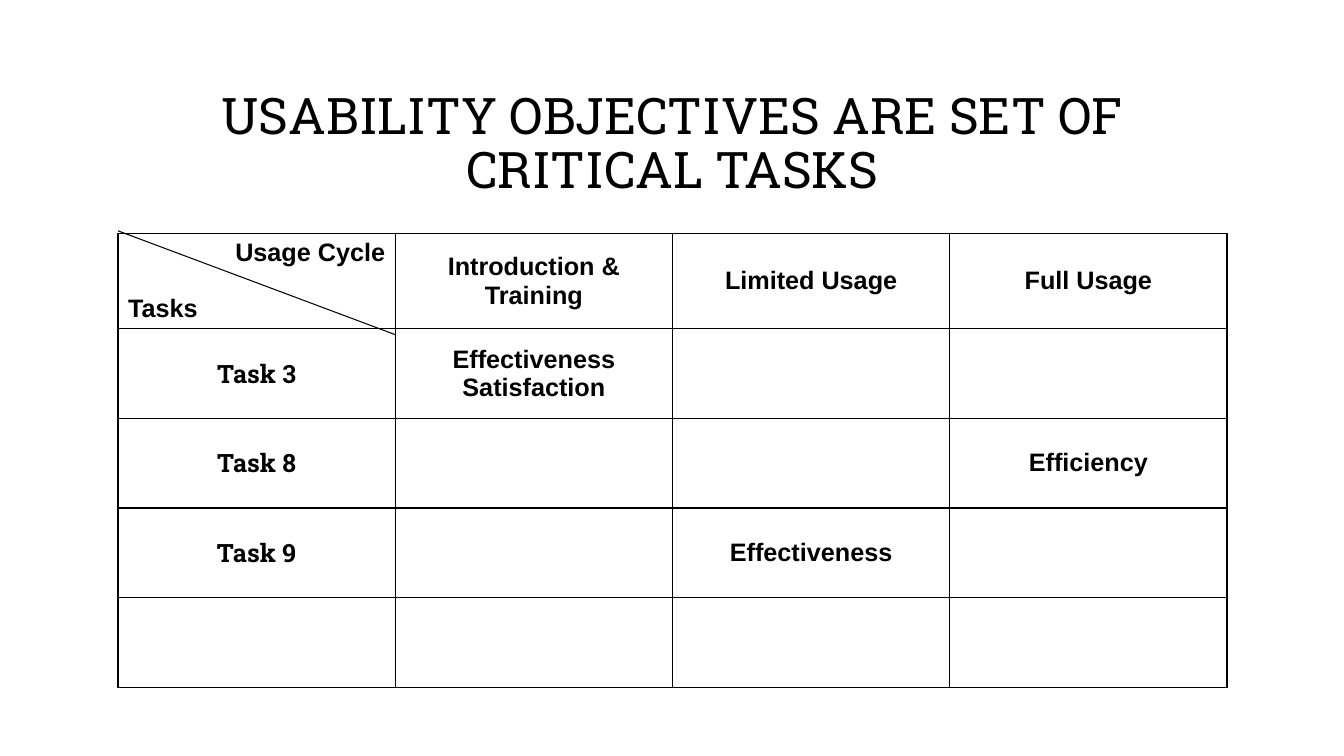
"""Build the usability objectives slide."""
import lxml.etree
import pptx
import pptx.dml.color
import pptx.enum.shapes
import pptx.enum.text
import pptx.oxml.ns
import pptx.util

Inches = pptx.util.Inches
Pt = pptx.util.Pt
qn = pptx.oxml.ns.qn
ALIGN = pptx.enum.text.PP_ALIGN
ANCHOR = pptx.enum.text.MSO_ANCHOR

BLACK = "000000"
WHITE = "FFFFFF"
BODY_FONT = "Arial"
SLAB_FONT = "Roboto Slab"
LEFT, TOP = 1.17, 2.32
COL_WIDTH, HEADER_HEIGHT, ROW_HEIGHT = 2.75, 0.94, 0.89
ROWS = [
    ["Usage Cycle\nTasks", "Introduction & Training", "Limited Usage", "Full Usage"],
    ["Task 3", "Effectiveness\nSatisfaction", "", ""],
    ["Task 8", "", "", "Efficiency"],
    ["Task 9", "", "Effectiveness", ""],
    ["", "", "", ""],
]


def color(value):
    return pptx.dml.color.RGBColor.from_string(value)


def style_font(font, name, size, bold):
    font.name = name
    font.size = Pt(size)
    font.bold = bold
    font.color.rgb = color(BLACK)


def add_title(slide, text):
    sp = slide.shapes.title
    sp.left, sp.top = Inches(0.86), Inches(0.56)
    sp.width, sp.height = Inches(11.62), Inches(1.76)
    tf = sp.text_frame
    tf.text = text
    tf.word_wrap = True
    tf.vertical_anchor = ANCHOR.MIDDLE
    p = tf.paragraphs[0]
    p.alignment = ALIGN.CENTER
    p.line_spacing = 0.9
    style_font(p.runs[0].font, SLAB_FONT, 36, False)


def set_borders(cell, width):
    tc_pr = cell._tc.get_or_add_tcPr()
    for i, side in enumerate(("a:lnL", "a:lnR", "a:lnT", "a:lnB")):
        ln = lxml.etree.Element(qn(side), w=str(Pt(width)))
        fill = lxml.etree.SubElement(ln, qn("a:solidFill"))
        lxml.etree.SubElement(fill, qn("a:srgbClr"), val=BLACK)
        tc_pr.insert(i, ln)


def fill_cell(cell, text, font_name):
    cell.fill.solid()
    cell.fill.fore_color.rgb = color(WHITE)
    set_borders(cell, 1)
    cell.vertical_anchor = ANCHOR.MIDDLE
    cell.text_frame.text = text
    for p in cell.text_frame.paragraphs:
        p.alignment = ALIGN.CENTER
        for r in p.runs:
            style_font(r.font, font_name, 18, True)


def add_task_table(slide):
    frame = slide.shapes.add_table(
        len(ROWS), len(ROWS[0]), Inches(LEFT), Inches(TOP),
        Inches(COL_WIDTH * len(ROWS[0])),
        Inches(HEADER_HEIGHT + ROW_HEIGHT * (len(ROWS) - 1)))
    table = frame.table
    table.first_row = False
    table.horz_banding = False
    for col in table.columns:
        col.width = Inches(COL_WIDTH)
    for i, texts in enumerate(ROWS):
        table.rows[i].height = Inches(ROW_HEIGHT if i else HEADER_HEIGHT)
        for j, text in enumerate(texts):
            is_task = i > 0 and j == 0
            fill_cell(table.cell(i, j), text, SLAB_FONT if is_task else BODY_FONT)
    corner = table.cell(0, 0)
    corner.vertical_anchor = ANCHOR.TOP
    cycle, tasks = corner.text_frame.paragraphs
    cycle.alignment = ALIGN.RIGHT
    tasks.alignment = ALIGN.LEFT
    tasks.space_before = Pt(20)


def add_line(slide, x1, y1, x2, y2):
    line = slide.shapes.add_connector(
        pptx.enum.shapes.MSO_CONNECTOR.STRAIGHT,
        Inches(x1), Inches(y1), Inches(x2), Inches(y2))
    line.line.color.rgb = color(BLACK)
    line.line.width = Pt(0.75)
    lxml.etree.SubElement(line._element.spPr, qn("a:effectLst"))


def main():
    prs = pptx.Presentation()
    prs.slide_width, prs.slide_height = Inches(13.33), Inches(7.5)
    slide = prs.slides.add_slide(prs.slide_layouts[5])
    add_title(slide, "USABILITY OBJECTIVES ARE SET OF CRITICAL TASKS")
    add_task_table(slide)
    add_line(slide, LEFT, 2.29, LEFT + COL_WIDTH, 3.32)
    prs.save("out.pptx")


if __name__ == "__main__":
    main()
